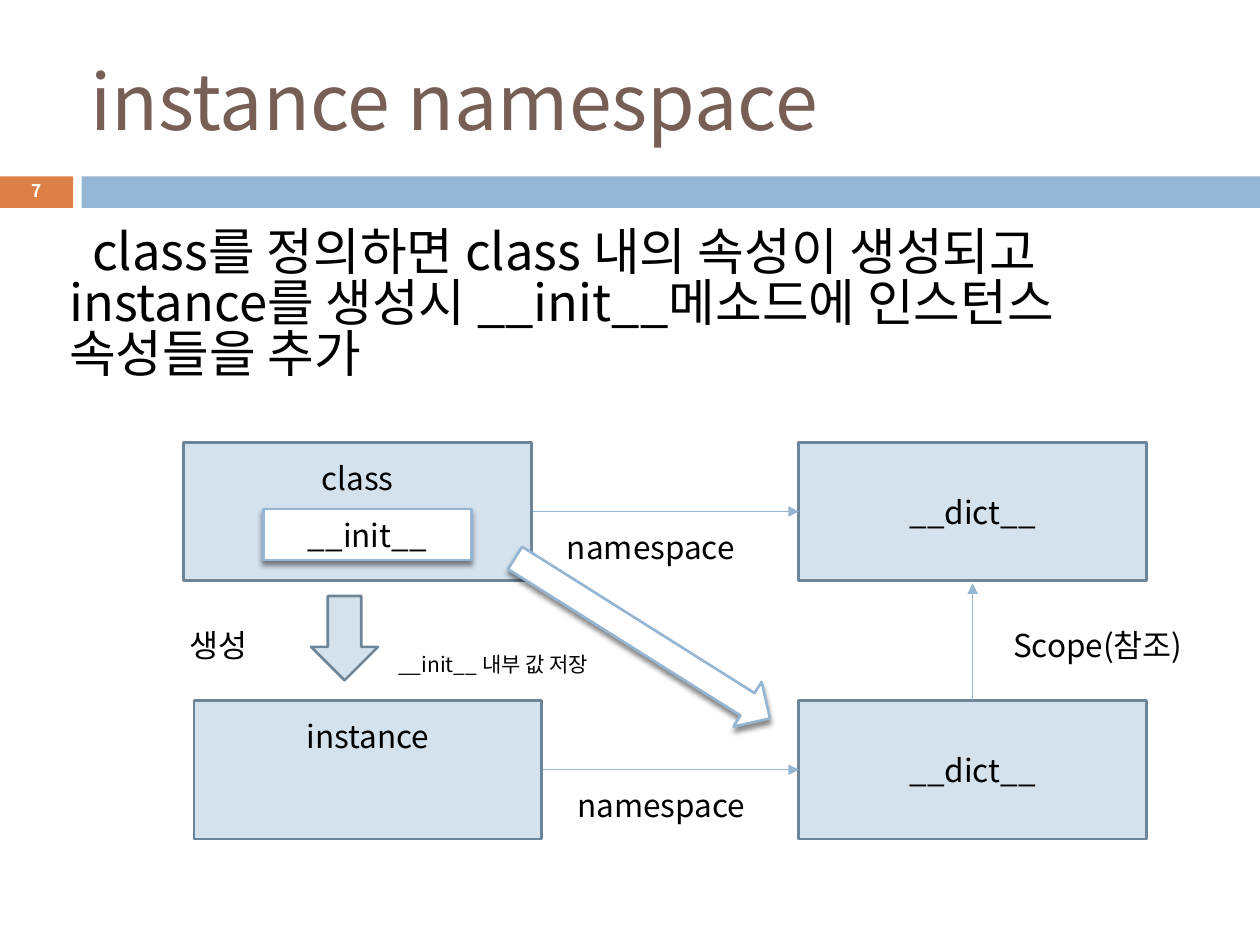
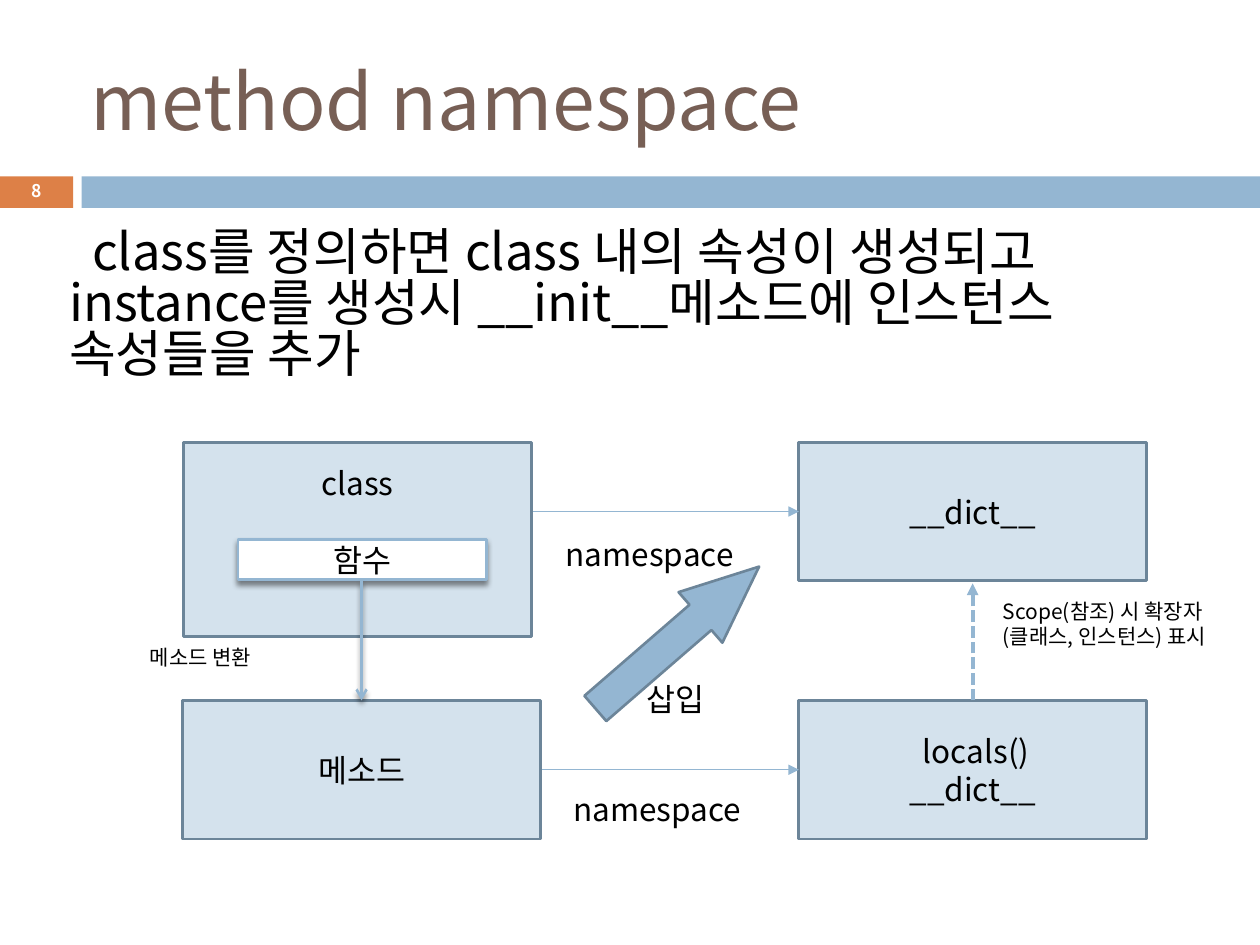
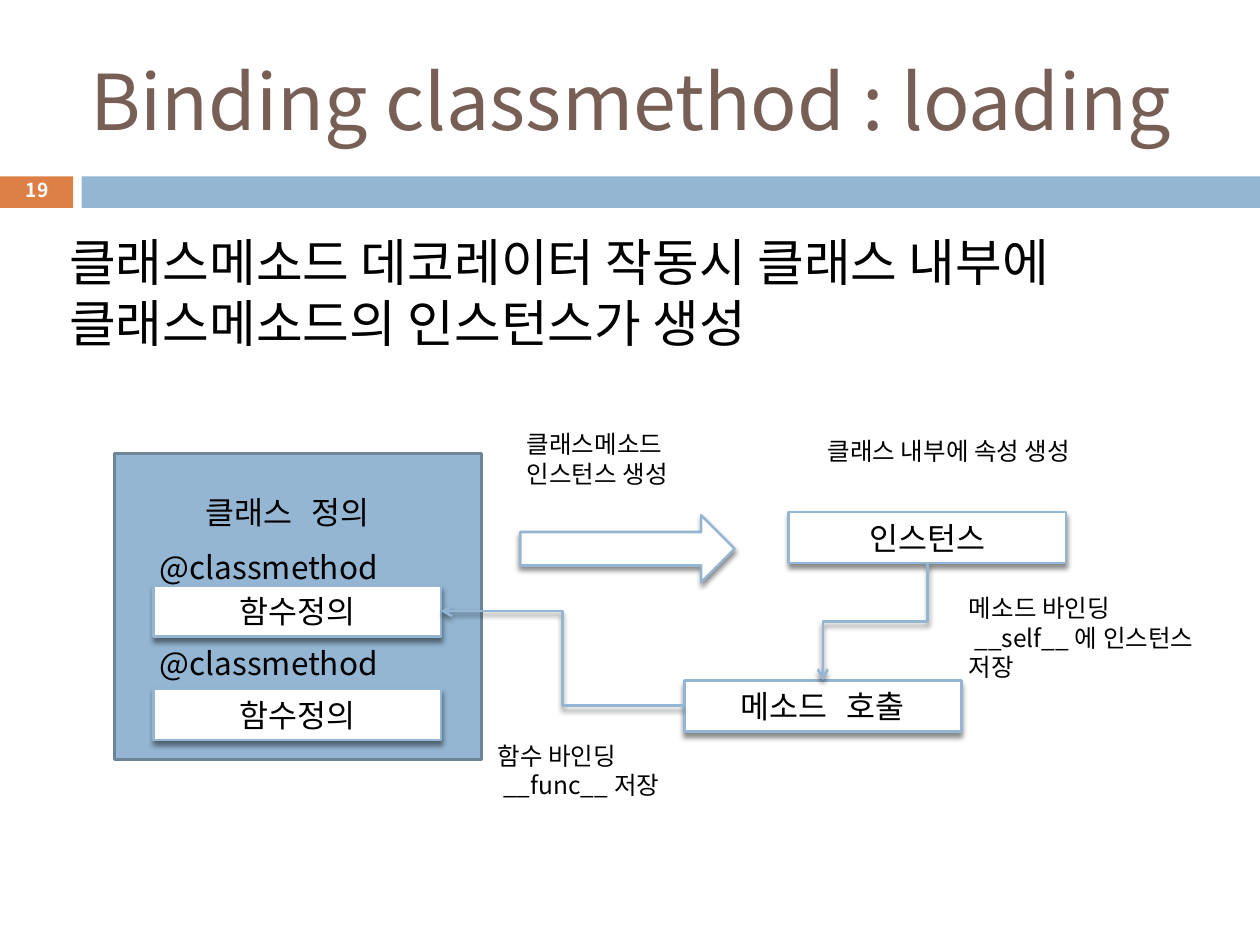
from lxml.etree import SubElement
from pptx import Presentation
from pptx.dml.color import RGBColor
from pptx.enum.dml import MSO_LINE
from pptx.enum.shapes import MSO_CONNECTOR, MSO_SHAPE
from pptx.enum.text import MSO_ANCHOR, PP_ALIGN
from pptx.oxml.ns import qn
from pptx.util import Pt

ORANGE = RGBColor(0xDD, 0x80, 0x47)
BLUE = RGBColor(0x94, 0xB6, 0xD2)
PALE = RGBColor(0xD4, 0xE2, 0xED)
SLATE = RGBColor(0x6C, 0x85, 0x99)
BROWN = RGBColor(0x77, 0x5F, 0x55)
BLACK = RGBColor(0, 0, 0)
WHITE = RGBColor(0xFF, 0xFF, 0xFF)

RECTANGLE = MSO_SHAPE.RECTANGLE
DOWN_ARROW = MSO_SHAPE.DOWN_ARROW
RIGHT_ARROW = MSO_SHAPE.RIGHT_ARROW
STRAIGHT = MSO_CONNECTOR.STRAIGHT
ELBOW = MSO_CONNECTOR.ELBOW
DASH = MSO_LINE.SQUARE_DOT
TOP, MIDDLE = MSO_ANCHOR.TOP, MSO_ANCHOR.MIDDLE
LEFT, CENTER = PP_ALIGN.LEFT, PP_ALIGN.CENTER

SANS = "Noto Sans CJK KR"
MONO = "Noto Sans Mono"
INSET = 3.6

BOX_WIDTH, BOX_HEIGHT = 198.7, 79.2
CLASS_LEFT, DICT_LEFT = 105, 456.5
UPPER_TOP, LOWER_TOP = 252.7, 400.3
SCOPE_X = 555.8
TAG_HEIGHT = 29.1
NAMESPACE_BODY = ("class를 정의하면 class 내의 속성이 생성되고 instance를 생성시 "
                  "__init__메소드에 인스턴스 속성들을 추가")


class Deck:
    def __init__(self):
        self.presentation = Presentation()
        self.presentation.slide_width = Pt(720)
        self.presentation.slide_height = Pt(540)
        self.page = None

    def add_page(self, title, number, number_size=10):
        self.page = self.presentation.slides.add_slide(
            self.presentation.slide_layouts[6])
        self.shape((0, 100.8, 41.8, 18), ORANGE)
        self.shape((46.6, 100.8, 673.4, 18), BLUE)
        self.text((48, 18, 642, 78), title, 44, BROWN, anchor=MIDDLE)
        badge = self.text((10, 99, 22.3, 21.6), number, number_size, WHITE,
                          align=CENTER, anchor=MIDDLE)
        badge.text_frame.word_wrap = False
        paragraph = badge.text_frame.paragraphs[0]
        paragraph.line_spacing = 0.8
        paragraph.runs[0].font.bold = True

    def set_text(self, box, text, size, color=BLACK, align=LEFT, anchor=TOP,
                 font=SANS, top_inset=INSET):
        frame = box.text_frame
        frame.word_wrap = True
        frame.vertical_anchor = anchor
        frame.margin_left = frame.margin_right = frame.margin_bottom = Pt(INSET)
        frame.margin_top = Pt(top_inset)
        frame.text = text
        for paragraph in frame.paragraphs:
            paragraph.alignment = align
            for span in paragraph.runs:
                span.font.size = Pt(size)
                span.font.color.rgb = color
                span.font.name = font
                SubElement(span._r.get_or_add_rPr(), qn("a:ea"), typeface=font)

    def text(self, area, text, size=18, color=BLACK, **style):
        box = self.page.shapes.add_textbox(*map(Pt, area))
        self.set_text(box, text, size, color, **style)
        return box

    def body(self, text, height, spacing, indent=0):
        box = self.text((36, 128.2, 648, height), text, 29)
        paragraph = box.text_frame.paragraphs[0]
        paragraph.space_before = Pt(7)
        paragraph.line_spacing = spacing
        paragraph._p.get_or_add_pPr().set("indent", str(Pt(indent)))

    def add_shadow(self, item):
        properties = item.element.spPr
        for effects in properties.findall(qn("a:effectLst")):
            properties.remove(effects)
        effects = SubElement(properties, qn("a:effectLst"))
        shadow = SubElement(effects, qn("a:outerShdw"), blurRad=str(Pt(3)),
                            dist=str(Pt(2.4)), dir="5400000", rotWithShape="0")
        color = SubElement(shadow, qn("a:srgbClr"), val=str(BLACK))
        SubElement(color, qn("a:alpha"), val="45000")

    def shape(self, area, fill, line=None, kind=RECTANGLE, rotation=0):
        shape = self.page.shapes.add_shape(kind, *map(Pt, area))
        shape.shadow.inherit = False
        shape.rotation = rotation
        shape.fill.solid()
        shape.fill.fore_color.rgb = fill
        if line is None:
            shape.line.fill.background()
        else:
            shape.line.color.rgb = line
            shape.line.width = Pt(1.5)
        return shape

    def panel(self, left, top, text, width=BOX_WIDTH, height=BOX_HEIGHT,
              anchor=MIDDLE, top_inset=INSET):
        box = self.shape((left, top, width, height), PALE, SLATE)
        self.set_text(box, text, 18, align=CENTER, anchor=anchor,
                      top_inset=top_inset)

    def raised(self, area, kind=RECTANGLE, rotation=0):
        shape = self.shape(area, WHITE, BLUE, kind, rotation)
        self.add_shadow(shape)
        return shape

    def tag(self, left, top, width, text, font=MONO, height=TAG_HEIGHT):
        box = self.raised((left, top, width, height))
        self.set_text(box, text, 18, align=CENTER, anchor=MIDDLE, font=font)

    def arrow(self, start, end, width=0.79, head="triangle", kind=STRAIGHT,
              dash=None, shadow=False, turn=0):
        line = self.page.shapes.add_connector(kind, *map(Pt, start + end))
        line.line.color.rgb = BLUE
        line.line.width = Pt(width)
        if dash is not None:
            line.line.dash_style = dash
        properties = line.element.spPr
        SubElement(properties.get_or_add_ln(), qn("a:tailEnd"), type=head)
        if turn:
            properties.find(qn("a:xfrm")).set("rot", str(turn * 60000))
        if shadow:
            self.add_shadow(line)
        else:
            SubElement(properties, qn("a:effectLst"))

    def call_arrow(self, start, end, kind=ELBOW, turn=0):
        self.arrow(start, end, 1.5, "arrow", kind, shadow=True, turn=turn)

    def namespace_page(self, title, number, lower_text, scope_width, scope_dash):
        self.add_page(title, number)
        self.body(NAMESPACE_BODY, 130.3, 0.83, 13)
        self.panel(DICT_LEFT, UPPER_TOP, "__dict__")
        self.panel(DICT_LEFT, LOWER_TOP, lower_text)
        for start, top in ((303.8, UPPER_TOP), (309.6, LOWER_TOP)):
            middle = top + BOX_HEIGHT / 2
            self.arrow((start, middle), (DICT_LEFT, middle))
        self.arrow((SCOPE_X, LOWER_TOP), (SCOPE_X, UPPER_TOP + BOX_HEIGHT + 1.5),
                   scope_width, dash=scope_dash)


def build_instance_page(deck):
    deck.namespace_page("instance namespace", "7", "__dict__", 0.79, None)
    deck.panel(CLASS_LEFT, UPPER_TOP, "class", anchor=TOP, top_inset=9.4)
    deck.panel(110.9, LOWER_TOP, "instance", anchor=TOP, top_inset=9.4)
    deck.text((320.4, 298.1, 113, 29), "namespace")
    deck.text((326.2, 445.7, 113, 29), "namespace")
    deck.shape((177.8, 340.6, 38.2, 48.2), PALE, SLATE, DOWN_ARROW)
    deck.text((65.5, 354.2, 118.8, 29), "생성", align=CENTER)
    deck.text((575.3, 354.2, 124.6, 29), "Scope(참조)")
    deck.tag(150.5, 290.9, 118.8, "__init__", SANS)
    deck.raised((352.1, 278.6, 30.2, 172.1), DOWN_ARROW, 302.2)
    deck.text((223.9, 368.6, 117.4, 21.6), "__init__ 내부 값 저장", 12)


def build_method_page(deck):
    deck.namespace_page("method namespace", "8", " locals()\n__dict__", 2.25, DASH)
    deck.panel(CLASS_LEFT, UPPER_TOP, "class", height=110.9, anchor=TOP,
               top_inset=12.5)
    deck.panel(104.4, LOWER_TOP, "메소드", width=204.5)
    deck.text((319.7, 302.4, 113, 29), "namespace")
    deck.text((324, 447.8, 113, 29), "namespace")
    deck.text((569.5, 338.4, 124.6, 51.1),
              "Scope(참조) 시 확장자(클래스, 인스턴스) 표시", 12)
    insertion = deck.shape((367.9, 302.4, 38.2, 123.8), BLUE, SLATE,
                           DOWN_ARROW, 229.1)
    insertion.adjustments[1] = 1.16
    deck.text((365.8, 385.2, 62.6, 29), "삽입")
    deck.tag(136.1, 308.2, 141.8, "함수", height=23)
    deck.call_arrow((206.6, 331.2), (206.6, LOWER_TOP), STRAIGHT)
    deck.text((82.1, 365, 102.2, 21.6), "메소드 변환", 12)


def build_binding_page(deck):
    deck.add_page("Binding classmethod : loading", "19", 11)
    deck.body("클래스메소드 데코레이터 작동시 클래스 내부에 "
              "클래스메소드의 인스턴스가 생성", 108, 1.0)
    deck.shape((65.5, 259.2, 209.5, 175), BLUE, SLATE)
    deck.text((87.8, 277.9, 153.4, 29), "클래스 정의", align=CENTER, font=MONO)
    for label_top, tag_top in ((309.6, 334.8), (364.3, 393.8)):
        deck.tag(87.8, tag_top, 164.2, "함수정의")
        deck.text((87.8, label_top, 153.4, 29), "@classmethod")
    deck.tag(450.7, 292.6, 158.4, "인스턴스")
    deck.tag(391, 388.8, 158.4, "메소드 호출")
    deck.raised((297.4, 294.5, 122.4, 38.2), RIGHT_ARROW)
    deck.call_arrow((466.6, 325.4), (533.6, 385.2), turn=90)
    deck.call_arrow((391, 403.2), (252, 349.2))
    for area, note in (
            ((297.4, 241.9, 130.3, 41), "클래스메소드 인스턴스 생성"),
            ((280.8, 419.8, 147.6, 41), "함수 바인딩\n __func__ 저장"),
            ((550.1, 335.5, 147.6, 58.3),
             "메소드 바인딩\n __self__ 에 인스턴스 저장"),
            ((469.4, 245.5, 161.3, 41), "클래스 내부에 속성 생성")):
        deck.text(area, note, 14)


deck = Deck()
build_instance_page(deck)
build_method_page(deck)
build_binding_page(deck)
deck.presentation.save("out.pptx")
